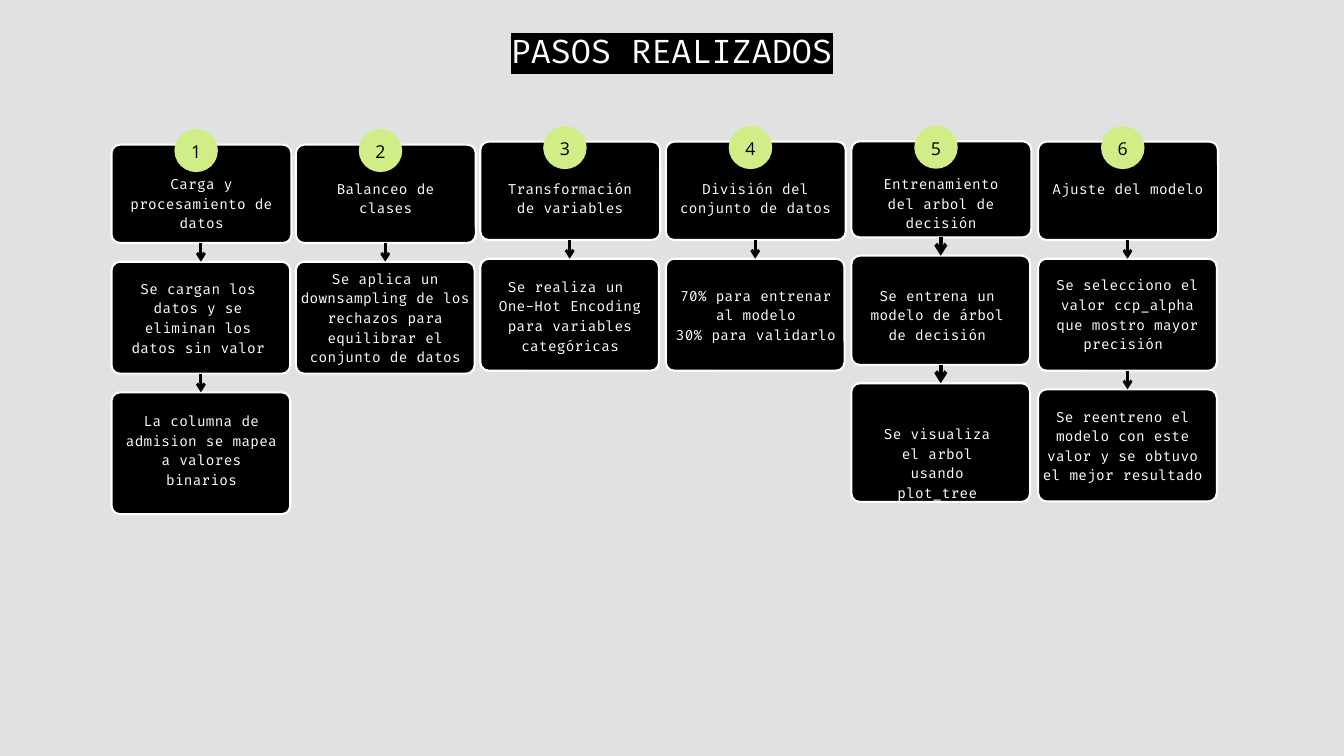
from lxml import etree
from pptx import Presentation
from pptx.dml.color import RGBColor
from pptx.enum import shapes, text
from pptx.oxml import ns
from pptx.util import Pt

BLACK, WHITE, LIME, GREY = "000000", "FFFFFF", "D1ED87", "E1E1E1"
HEAD_WIDTH, BODY_WIDTH = 192.8, 191.5
CORNER = 9
DISC_WIDTH, DISC_HEIGHT = 46.6, 46


def rgb(value):
    return RGBColor.from_string(value)


def write(frame, content, font, size, color, leading, spacing=0):
    """Fill a text frame with centred paragraphs, without insets."""
    frame.word_wrap = True
    frame.margin_left = frame.margin_right = 0
    frame.margin_top = frame.margin_bottom = 0
    frame.text = content
    for paragraph in frame.paragraphs:
        paragraph.alignment = text.PP_ALIGN.CENTER
        paragraph.line_spacing = Pt(leading)
        for run in paragraph.runs:
            run.font.name, run.font.size = font, Pt(size)
            run.font.color.rgb = rgb(color)
            if spacing:
                run.font._element.set("spc", str(round(spacing * 100)))


# Column: left, top, gap, arrow width, steps
# Step: box height, text left, text top, text width, text lines, wording
columns = [
    (119.5, 155, 20, 3, [
        (105.4, 139, 185, 154.1, 3, "Carga y procesamiento de datos"),
        (120, 131.8, 297.4, 161.3, 4, "Se cargan los datos y se eliminan los datos sin valor"),
        (130.5, 133.9, 439.2, 164.2, 4, "La columna de admision se mapea a valores binarios"),
    ]),
    (317, 155, 20, 3, [
        (105.4, 338.4, 190.1, 149.8, 2, "Balanceo de clases"),
        (120, 312.5, 286.6, 200.9, 5,
         "Se aplica un downsampling de los rechazos para equilibrar el conjunto de datos"),
    ]),
    (514.6, 151.8, 20, 3, [
        (105.4, 533.5, 190.1, 154.8, 2, "Transformación de variables"),
        (120, 526.3, 295.2, 169.2, 4,
         "Se realiza un \nOne-Hot Encoding para variables categóricas"),
    ]),
    (713.4, 151.8, 20, 3, [
        (105.4, 728.6, 190.1, 162, 2, "División del conjunto de datos"),
        (120, 723.6, 304.6, 172.8, 3, "70% para entrenar al modelo\n30% para validarlo"),
    ]),
    (912.2, 151.4, 19.6, 4, [
        (103, 935.3, 185, 146.2, 3, "Entrenamiento del arbol de decisión"),
        (117, 928.1, 304.6, 152.6, 3, "Se entrena un modelo de árbol de decisión"),
        (127.2, 933.8, 452.9, 141.1, 3, "Se visualiza el arbol usando plot_tree"),
    ]),
    (1112.3, 151.8, 20, 3, [
        (105.4, 1127.5, 190.1, 162, 1, "Ajuste del modelo"),
        (120, 1121.8, 293.8, 172.8, 4,
         "Se selecciono el valor ccp_alpha que mostro mayor precisión "),
        (120, 1116.7, 434.2, 172.8, 4,
         "Se reentreno el modelo con este valor y se obtuvo el mejor resultado"),
    ]),
]

prs = Presentation()
prs.slide_width, prs.slide_height = Pt(1440), Pt(810)
slide = prs.slides.add_slide(prs.slide_layouts[5])
slide.background.fill.solid()
slide.background.fill.fore_color.rgb = rgb(GREY)

title = slide.shapes.title
title.left, title.top, title.width, title.height = Pt(542.9), Pt(33.1), Pt(353.5), Pt(42)
write(title.text_frame, "PASOS REALIZADOS", "Fira Code", 35, WHITE, 42)
title.text_frame.vertical_anchor = text.MSO_ANCHOR.TOP
title.text_frame.auto_size = text.MSO_AUTO_SIZE.NONE
title_props = title.text_frame.paragraphs[0].runs[0].font._element
highlight = etree.Element(ns.qn("a:highlight"))
etree.SubElement(highlight, ns.qn("a:srgbClr"), val=BLACK)
title_props.find(ns.qn("a:solidFill")).addnext(highlight)

for number, (left, top, gap, arrow_width, steps) in enumerate(columns, start=1):
    step_top = top
    for row, (height, text_left, text_top, text_width, lines, wording) in enumerate(steps):
        width = BODY_WIDTH if row else HEAD_WIDTH
        box = slide.shapes.add_shape(shapes.MSO_SHAPE.ROUNDED_RECTANGLE,
                                     Pt(left), Pt(step_top), Pt(width), Pt(height))
        box.adjustments[0] = CORNER / height
        box.shadow.inherit = False
        box.fill.solid()
        box.fill.fore_color.rgb = rgb(BLACK)
        box.line.color.rgb = rgb(WHITE)
        box.line.width = Pt(2.25)

        if row:
            arrow_x = Pt(left + BODY_WIDTH / 2)
            arrow = slide.shapes.add_connector(shapes.MSO_CONNECTOR.STRAIGHT, arrow_x,
                                               Pt(step_top - gap), arrow_x, Pt(step_top))
            arrow.line.color.rgb = rgb(BLACK)
            arrow.line.width = Pt(arrow_width)
            etree.SubElement(arrow.line._get_or_add_ln(), ns.qn("a:tailEnd"), type="arrow")
            etree.SubElement(arrow._element.spPr, ns.qn("a:effectLst"))

        label = slide.shapes.add_textbox(Pt(text_left), Pt(text_top),
                                         Pt(text_width), Pt(21 * lines))
        write(label.text_frame, wording, "Fira Code", 15, WHITE, 21, spacing=0.3)
        step_top += height + gap

    disc = slide.shapes.add_shape(shapes.MSO_SHAPE.OVAL, Pt(left + 67.4), Pt(top - 16.6),
                                  Pt(DISC_WIDTH), Pt(DISC_HEIGHT))
    disc.shadow.inherit = False
    disc.fill.solid()
    disc.fill.fore_color.rgb = rgb(LIME)
    disc.line.fill.background()
    write(disc.text_frame, str(number), "Open Sans", 19, BLACK, 26.6)
    disc.text_frame.vertical_anchor = text.MSO_ANCHOR.MIDDLE
    disc.text_frame.margin_bottom = Pt(2)

prs.save("out.pptx")
